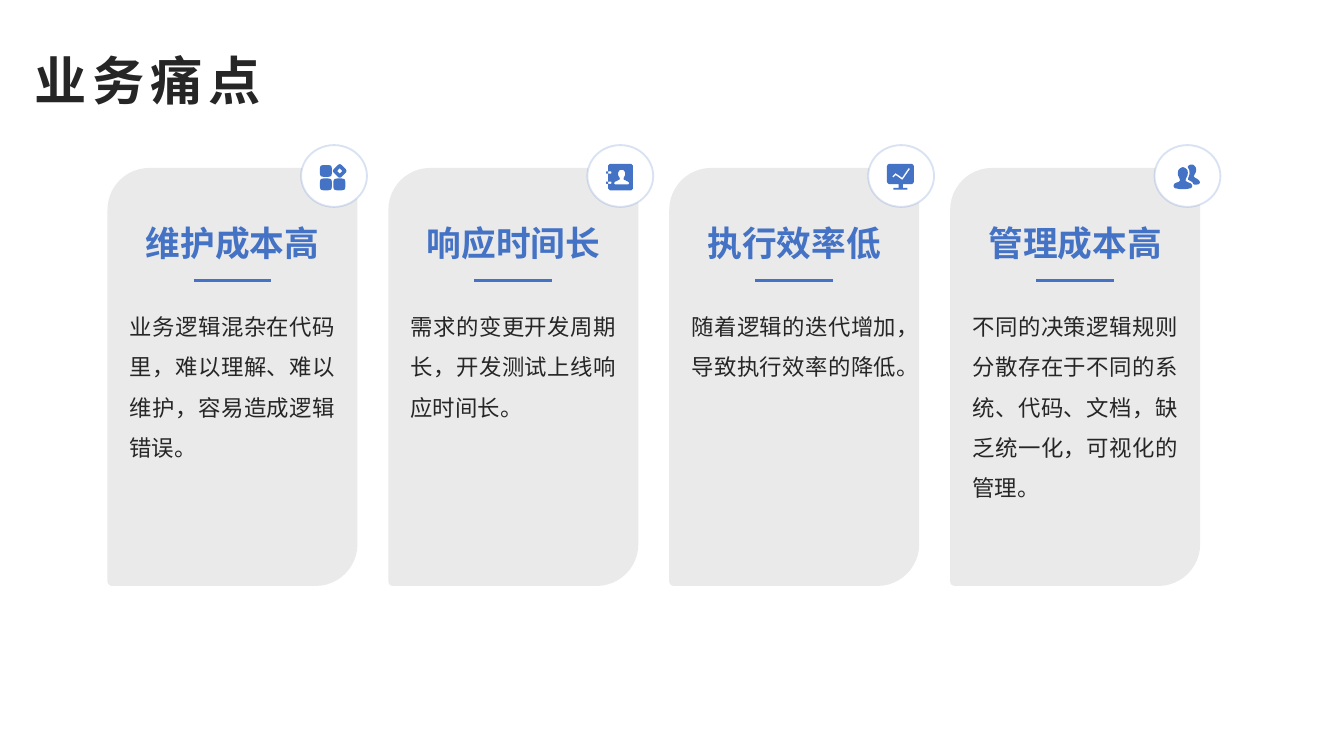
from pptx import Presentation
from pptx.dml.color import RGBColor
from pptx.enum.shapes import MSO_CONNECTOR, MSO_SHAPE
from pptx.enum.text import MSO_ANCHOR as ANCHOR, MSO_AUTO_SIZE, PP_ALIGN as ALIGN
from pptx.oxml.ns import qn
from pptx.util import Inches, Pt
from lxml.etree import SubElement

# Content: heading, body, icon, left edge of the badge
TITLE = "业务痛点"
CARDS = [
    ("维护成本高", "业务逻辑混杂在代码里，难以理解、难以维护，容易造成逻辑错误。", "modules", 2.24),
    ("响应时间长", "需求的变更开发周期长，开发测试上线响应时间长。", "contacts", 4.37),
    ("执行效率低", "随着逻辑的迭代增加，导致执行效率的降低。", "monitor", 6.46),
    ("管理成本高", "不同的决策逻辑规则分散存在于不同的系统、代码、文档，缺乏统一化，可视化的管理。",
     "people", 8.59),
]

BLUE, GRAY, DARK, WHITE = "4472C4", "999999", "262626", "FFFFFF"
CJK = "Noto Sans CJK SC"
LEFT, TOP, CARD_W, CARD_H, PITCH = 0.8, 1.25, 1.86, 3.11, 2.09
BADGE_TOP, BADGE_W, BADGE_H = 1.08, 0.49, 0.46
ICON_SIZE, ICON_INSET = 0.2, 0.14


def box(x, y, w, h):
    return [(x, y), (x + w, y), (x + w, y + h), (x, y + h)]


def diamond(x, y, r):
    return [(x, y - r), (x + r, y), (x, y + r), (x - r, y)]


# Icons on a grid of 100 units: (corner radius, contour); inner contours are holes
ICONS = {
    "modules": [
        (14, box(0, 4, 45, 44)), (14, box(0, 54, 45, 44)), (14, box(50, 54, 45, 44)),
        (10, diamond(74, 26, 29)), (0, diamond(74, 26, 10)),
    ],
    "contacts": [
        (10, box(8, 0, 92, 98)), (3, box(0, 28, 20, 8)), (3, box(0, 66, 20, 8)),
        (7, [(29, 76), (32, 66), (51, 59), (51, 53), (44, 40), (46, 26), (58, 20),
             (70, 26), (72, 40), (65, 53), (65, 59), (84, 66), (87, 76)]),
    ],
    "monitor": [
        (12, box(0, 0, 100, 75)), (0, box(43, 75, 16, 14)), (3, box(24, 89, 52, 7)),
        (1, [(20, 46), (32, 34), (56, 51), (81, 15), (86, 19), (57, 60), (33, 42), (23, 51)]),
    ],
    "people": [
        (8, [(0, 82), (5, 72), (25, 65), (25, 56), (17, 42), (17, 28), (24, 16), (36, 11),
             (48, 16), (55, 28), (54, 42), (46, 56), (46, 65), (66, 72), (72, 82),
             (66, 91), (36, 95), (6, 91)]),
        (8, [(76, 78), (72, 68), (55, 59), (55, 54), (61, 40), (60, 22), (52, 10), (66, 0),
             (80, 6), (86, 18), (84, 32), (76, 44), (78, 50), (94, 58), (100, 68), (96, 76)]),
    ],
}


def rgb(color):
    return RGBColor.from_string(color)


def set_alpha(element, percent):
    color = next(element.iter(qn("a:srgbClr")))
    SubElement(color, qn("a:alpha")).set("val", str(percent * 1000))


def paint(sp, fill, line=None):
    sp.shadow.inherit = False
    sp.fill.solid()
    sp.fill.fore_color.rgb = rgb(fill)
    if line:
        sp.line.color.rgb = rgb(line)
        sp.line.width = Pt(1)
    else:
        sp.line.fill.background()


def write(sp, text, size, color, font, bold=False, margin=None, para=None,
          anchor=ANCHOR.TOP):
    tf = sp.text_frame
    frame = {"word_wrap": True, "auto_size": MSO_AUTO_SIZE.NONE, "vertical_anchor": anchor}
    if margin is not None:
        frame.update({f"margin_{side}": margin for side in ("left", "top", "right", "bottom")})
    for name, value in frame.items():
        setattr(tf, name, value)
    p = tf.paragraphs[0]
    for name, value in (para or {}).items():
        setattr(p, name, value)
    r = p.add_run()
    r.text = text
    for name, value in {"size": Pt(size), "bold": bold, "name": font}.items():
        setattr(r.font, name, value)
    r.font.color.rgb = rgb(color)
    if font == CJK:
        SubElement(r.font._element, qn("a:ea")).set("typeface", font)
    return r


def rounded(points, radius, steps=5):
    """Replace each corner of a contour with a short quadratic curve."""
    if not radius:
        return points
    result = []
    for i, (x, y) in enumerate(points):
        ends = []
        for nx, ny in (points[i - 1], points[(i + 1) % len(points)]):
            length = ((nx - x) ** 2 + (ny - y) ** 2) ** 0.5
            share = min(radius / length, 0.5)
            ends.append((x + (nx - x) * share, y + (ny - y) * share))
        (ax, ay), (bx, by) = ends
        for k in range(steps + 1):
            t = k / steps
            u = 1 - t
            result.append((u * u * ax + 2 * u * t * x + t * t * bx,
                           u * u * ay + 2 * u * t * y + t * t * by))
    return result


def add_icon(shapes, name, left, top):
    builder = None
    for radius, points in ICONS[name]:
        start, *rest = rounded(points, radius)
        if builder is None:
            builder = shapes.build_freeform(*start, scale=Inches(ICON_SIZE) / 100)
        else:
            builder.move_to(*start)
        builder.add_line_segments(rest, close=True)
    paint(builder.convert_to_shape(Inches(left), Inches(top)), BLUE)


def add_card(shapes, left, heading, body):
    # Panel
    sp = shapes.add_shape(MSO_SHAPE.ROUND_2_DIAG_RECTANGLE, Inches(left), Inches(TOP),
                          Inches(CARD_W), Inches(CARD_H))
    sp.adjustments[0], sp.adjustments[1] = 0.167, 0.018
    paint(sp, GRAY)
    set_alpha(sp._element.spPr, 20)

    # Body and heading, centred on the panel
    def text_box(top, width, height):
        x = left + (CARD_W - width) / 2
        return shapes.add_textbox(Inches(x), Inches(top), Inches(width), Inches(height))

    write(text_box(2.23, 1.53, 2.01), body, 12, DARK, CJK, margin=0,
          para={"alignment": ALIGN.JUSTIFY, "line_spacing": 1.5})
    write(text_box(1.45, 1.63, 0.51), heading, 18.6, BLUE, "Arial", bold=True, margin=0,
          para={"alignment": ALIGN.CENTER}, anchor=ANCHOR.BOTTOM)

    # Rule under the heading
    middle, half, y = left + CARD_W / 2, 0.29, Inches(2.09)
    rule = shapes.add_connector(MSO_CONNECTOR.STRAIGHT, Inches(middle - half), y,
                                Inches(middle + half), y)
    rule.line.color.rgb = rgb(BLUE)
    rule.line.width = Pt(1.75)
    SubElement(rule._element.spPr, qn("a:effectLst"))


def add_badge(shapes, left, icon):
    sp = shapes.add_shape(MSO_SHAPE.OVAL, Inches(left), Inches(BADGE_TOP),
                          Inches(BADGE_W), Inches(BADGE_H))
    paint(sp, WHITE, BLUE)
    set_alpha(sp.line._ln, 20)
    add_icon(shapes, icon, left + ICON_INSET, BADGE_TOP + ICON_INSET)


def main():
    prs = Presentation()
    prs.slide_width = Inches(10)
    prs.slide_height = prs.slide_width * 9 // 16
    s = prs.slides.add_slide(prs.slide_layouts[5])

    # Title
    title = s.shapes.title
    place = {"left": 0.16, "top": 0.17, "width": 6.44, "height": 0.85}
    for name, value in place.items():
        setattr(title, name, Inches(value))
    r = write(title, TITLE, 28, DARK, CJK, bold=True,
              para={"alignment": ALIGN.LEFT, "line_spacing": 1.3})
    r.font._element.set("spc", "300")

    # Cards with their badges
    for i, (heading, body, icon, badge_left) in enumerate(CARDS):
        add_card(s.shapes, LEFT + i * PITCH, heading, body)
        add_badge(s.shapes, badge_left, icon)

    prs.save("out.pptx")


if __name__ == "__main__":
    main()
